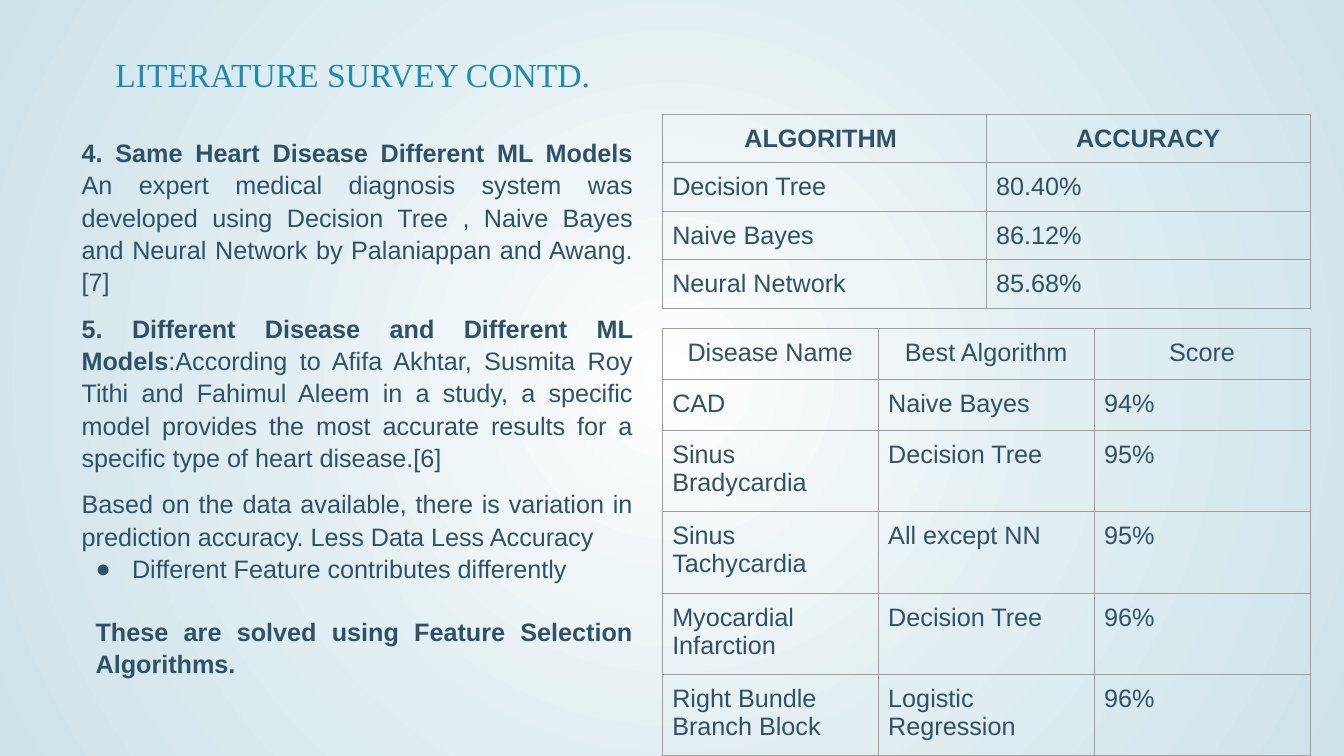
from dataclasses import dataclass
from pptx import Presentation
from pptx.dml.color import RGBColor
from pptx.enum.text import MSO_ANCHOR, MSO_AUTO_SIZE, PP_ALIGN
from pptx.oxml import parse_xml
from pptx.oxml.ns import nsdecls
from pptx.util import Pt


@dataclass(frozen=True)
class Theme:
    title_font: str = "Times New Roman"
    body_font: str = "Arial"
    title_size: float = 24
    body_size: float = 18
    title_color: str = "168DBA"
    text_color: str = "2E5369"
    border_color: str = "9E9E9E"
    glow: tuple = ((0, "FFFFFF"), (28, "EFF6F8"), (52, "E1EEF2"), (100, "CDE3E9"))


THEME = Theme()
INSET = 7.2
TABLE_LEFT, TABLE_WIDTH = 473, 462.8

# Each paragraph: (left indent, first-line indent, space before, bulleted, runs);
# each run: (text, bold)
BODY = [
    (0, 0, 0, False, [
        ("4. Same Heart Disease Different ML Models\v", True),
        ("An expert medical diagnosis system was developed using Decision Tree , "
         "Naive Bayes and Neural Network by Palaniappan and Awang.[7]", False)]),
    (0, 0, 10, False, [
        ("5. Different Disease and Different ML Models", True),
        (":According to Afifa Akhtar, Susmita Roy Tithi and Fahimul Aleem in a study, "
         "a specific model provides the most accurate results for a specific type of "
         "heart disease.[6]", False)]),
    (0, 0, 10, False, [
        ("Based on the data available, there is variation in prediction accuracy. "
         "Less Data Less Accuracy", False)]),
    (36, -26, 0, True, [("Different Feature contributes differently", False)]),
    (10, 0, 21.6, False, [
        ("These are solved using Feature Selection Algorithms.", True)]),
]

ACCURACY = [
    ("ALGORITHM ", "ACCURACY"),
    ("Decision Tree", "80.40%"),
    ("Naive Bayes", "86.12%"),
    ("Neural Network", "85.68%"),
]

BEST_BY_DISEASE = [
    ("Disease Name", "Best Algorithm", "Score"),
    ("CAD", "Naive Bayes", "94%"),
    ("Sinus Bradycardia", "Decision Tree", "95%"),
    ("Sinus Tachycardia", "All except NN", "95%"),
    ("Myocardial Infarction", "Decision Tree", "96%"),
    ("Right Bundle Branch Block", "Logistic Regression", "96%"),
]


def set_background(s):
    stops = "".join(f'<a:gs pos="{pos * 1000}"><a:srgbClr val="{color}"/></a:gs>'
                    for pos, color in THEME.glow)
    bg = parse_xml(
        f'<p:bg {nsdecls("p", "a")}><p:bgPr><a:gradFill rotWithShape="1">'
        f'<a:gsLst>{stops}</a:gsLst><a:path path="circle">'
        '<a:fillToRect l="50000" t="50000" r="50000" b="50000"/></a:path>'
        '</a:gradFill><a:effectLst/></p:bgPr></p:bg>')
    s.element.cSld.insert(0, bg)


def add_run(p, text, font, size, color, bold=False):
    r = p.add_run()
    r.text = text
    r.font.name = font
    r.font.size = Pt(size)
    r.font.bold = bold
    r.font.color.rgb = RGBColor.from_string(color)


def place(sp, left, top, width, height, inset_top):
    sp.left, sp.top, sp.width, sp.height = map(Pt, (left, top, width, height))
    tf = sp.text_frame
    tf.word_wrap = True
    tf.auto_size = MSO_AUTO_SIZE.NONE
    tf.vertical_anchor = MSO_ANCHOR.TOP
    tf.margin_left = tf.margin_right = Pt(INSET)
    tf.margin_top, tf.margin_bottom = Pt(inset_top), Pt(3.6)
    return tf


def set_bullet(p, left, first, bulleted):
    pPr = p._p.get_or_add_pPr()
    pPr.set("marL", str(Pt(left)))
    pPr.set("indent", str(Pt(first)))
    if bulleted:
        parts = (f'<a:buClr {nsdecls("a")}><a:srgbClr val="{THEME.text_color}"/></a:buClr>',
                 f'<a:buFont {nsdecls("a")} typeface="{THEME.body_font}"/>',
                 f'<a:buChar {nsdecls("a")} char="●"/>')
    else:
        parts = (f'<a:buNone {nsdecls("a")}/>',)
    for part in parts:
        pPr.append(parse_xml(part))


def fill_title(sp, text):
    p = place(sp, -228, 31.7, 960, 50.4, 6.5).paragraphs[0]
    p.alignment = PP_ALIGN.CENTER
    add_run(p, text, THEME.title_font, THEME.title_size, THEME.title_color)


def fill_body(sp):
    tf = place(sp, 51.1, 92.9, 408.2, 375.8, 3.6)
    for i, (left, first, before, bulleted, runs) in enumerate(BODY):
        p = tf.add_paragraph() if i else tf.paragraphs[0]
        set_bullet(p, left, first, bulleted)
        p.alignment = PP_ALIGN.JUSTIFY
        p.line_spacing = 1.07
        p.space_before, p.space_after = Pt(before), Pt(0)
        for text, bold in runs:
            # A vertical tab marks a line break after the run
            add_run(p, text.rstrip("\v"), THEME.body_font, THEME.body_size,
                    THEME.text_color, bold)
            if text.endswith("\v"):
                p.add_line_break()


def set_borders(cell):
    tcPr = cell._tc.get_or_add_tcPr()
    for i, side in enumerate(("lnL", "lnR", "lnT", "lnB")):
        tcPr.insert(i, parse_xml(
            f'<a:{side} {nsdecls("a")} w="{Pt(0.75)}"><a:solidFill>'
            f'<a:srgbClr val="{THEME.border_color}"/></a:solidFill></a:{side}>'))


def add_grid(s, top, rows, heights, bold_header):
    n_cols = len(rows[0])
    table = s.shapes.add_table(len(rows), n_cols, Pt(TABLE_LEFT), Pt(top),
                               Pt(TABLE_WIDTH), Pt(sum(heights))).table
    table.first_row = table.horz_banding = False
    for column in table.columns:
        column.width = Pt(TABLE_WIDTH / n_cols)
    for i, (values, height) in enumerate(zip(rows, heights)):
        table.rows[i].height = Pt(height)
        for j, text in enumerate(values):
            cell = table.cell(i, j)
            cell.margin_left = cell.margin_right = Pt(INSET)
            cell.margin_top = cell.margin_bottom = Pt(INSET)
            cell.fill.background()
            set_borders(cell)
            p = cell.text_frame.paragraphs[0]
            p.alignment = PP_ALIGN.LEFT if i else PP_ALIGN.CENTER
            add_run(p, text, THEME.body_font, THEME.body_size, THEME.text_color,
                    bold_header and i == 0)


def main():
    prs = Presentation()
    prs.slide_width, prs.slide_height = Pt(960), Pt(540)
    s = prs.slides.add_slide(prs.slide_layouts[1])
    set_background(s)

    # Title and findings on the left
    fill_title(s.shapes.title, "LITERATURE SURVEY CONTD.")
    fill_body(s.placeholders[1])

    # Result tables on the right
    add_grid(s, 81.8, ACCURACY, [34.5] * 4, bold_header=True)
    add_grid(s, 234.7, BEST_BY_DISEASE, [36.4] * 2 + [58.1] * 4, bold_header=False)

    prs.save("out.pptx")


if __name__ == "__main__":
    main()
